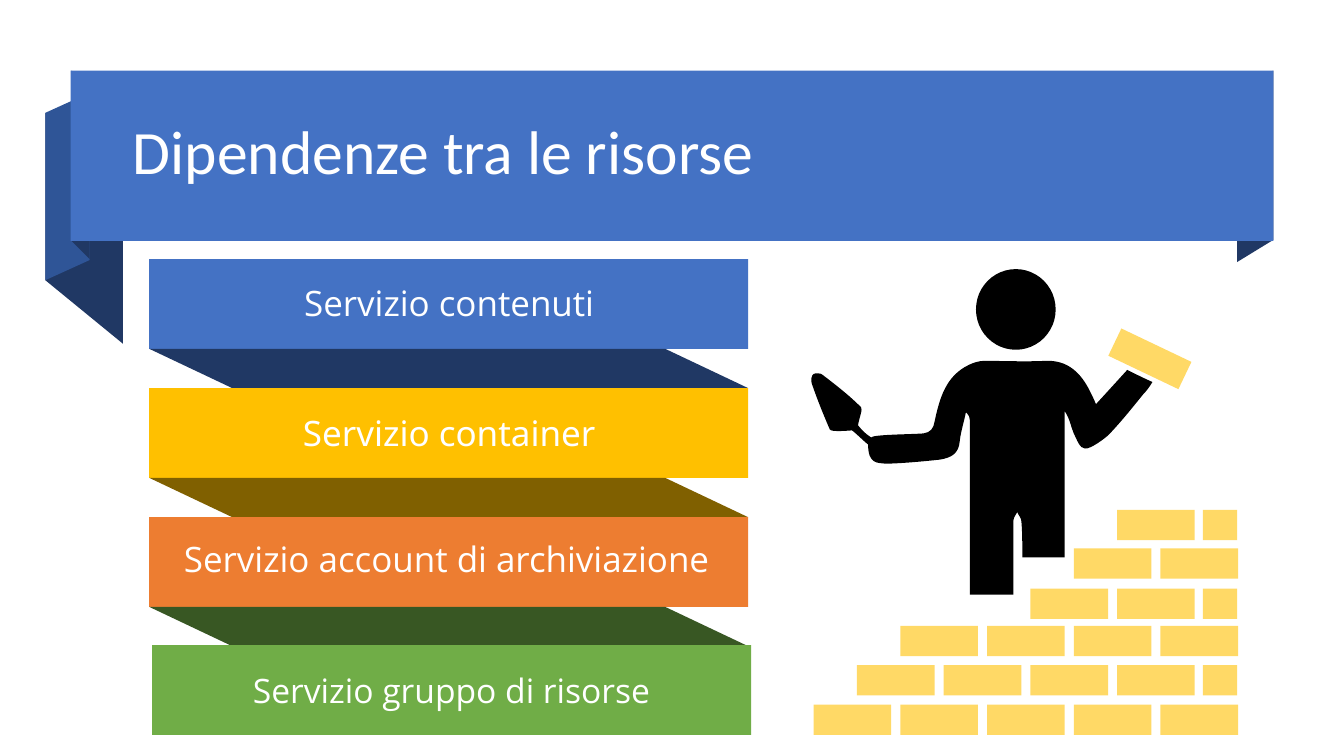
"""Build the slide on dependencies between resources."""
from dataclasses import dataclass

from lxml import etree
from pptx import Presentation
from pptx.dml.color import RGBColor
from pptx.enum.shapes import MSO_SHAPE
from pptx.enum.text import MSO_ANCHOR, PP_ALIGN
from pptx.oxml.ns import qn
from pptx.util import Inches, Pt

RECTANGLE = MSO_SHAPE.RECTANGLE
PARALLELOGRAM = MSO_SHAPE.PARALLELOGRAM
OVAL = MSO_SHAPE.OVAL
MIDDLE = MSO_ANCHOR.MIDDLE
CENTER = PP_ALIGN.CENTER

WHITE = RGBColor(0xFF, 0xFF, 0xFF)
BLACK = RGBColor(0, 0, 0)
BLUE = RGBColor(0x44, 0x72, 0xC4)
MID_BLUE = RGBColor(0x2F, 0x55, 0x97)
NAVY = RGBColor(0x20, 0x38, 0x64)
GOLD = RGBColor(0xFF, 0xC0, 0x00)
DARK_GOLD = RGBColor(0x80, 0x60, 0x00)
ORANGE = RGBColor(0xED, 0x7D, 0x31)
GREEN = RGBColor(0x70, 0xAD, 0x47)
DARK_GREEN = RGBColor(0x38, 0x57, 0x23)
BRICK_YELLOW = RGBColor(0xFF, 0xD9, 0x66)

Point = tuple[float, float]


@dataclass
class Fold:
    points: list[Point]
    color: RGBColor


@dataclass
class Band:
    top: float
    color: RGBColor
    fold_color: RGBColor


@dataclass
class Label:
    text: str
    left: float
    top: float
    width: float
    font_name: str


@dataclass
class BrickRow:
    top: float
    full_bricks: int
    has_half: bool


FOLDS = [
    Fold([(1.22, 3.41), (0.45, 2.78), (0.45, 1.12), (1.22, 1.75)], NAVY),
    Fold([(0.89, 2.58), (0.45, 2.78), (0.45, 1.12), (0.89, 0.92)], MID_BLUE),
    Fold([(0.89, 2.57), (0.71, 2.39), (0.71, 0.7), (0.89, 0.89)], NAVY),
    Fold([(12.63, 2.38), (12.27, 2.6), (12.27, 0.91), (12.63, 0.7)], NAVY),
]
BAND_LEFT, BAND_WIDTH, BAND_HEIGHT, FOLD_HEIGHT = 1.48, 5.94, 0.89, 0.39
BANDS = [Band(2.57, BLUE, NAVY), Band(3.85, GOLD, DARK_GOLD), Band(5.13, ORANGE, DARK_GREEN)]
LABELS = [
    Label("Servizio account di archiviazione", 1.71, 5.28, 5.44, "Open Sans"),
    Label("Servizio container", 2.74, 4.03, 3.43, "Noto Sans"),
    Label("Servizio contenuti", 2.74, 2.74, 3.43, "Open Sans"),
]
LABEL_HEIGHT = 0.52
BRICK_WIDTH, HALF_BRICK_WIDTH, BRICK_HEIGHT = 0.77, 0.34, 0.3
BRICK_PITCH = 0.86
LAST_BRICK_LEFT, HALF_BRICK_LEFT = 11.51, 11.93
BRICK_ROWS = [
    BrickRow(6.99, 5, False), BrickRow(6.6, 4, True), BrickRow(6.21, 4, False),
    BrickRow(5.84, 2, True), BrickRow(5.44, 2, False), BrickRow(5.06, 1, True),
]
BODY_START = (11.18, 3.67)
BODY_CURVES = [
    [(11.08, 3.78), (10.98, 3.89), (10.87, 4.01)],
    [(10.85, 3.96), (10.83, 3.92), (10.81, 3.88)],
    [(10.72, 3.7), (10.59, 3.57), (10.37, 3.58)],
    [(10.16, 3.59), (9.96, 3.58), (9.76, 3.58)],
    [(9.71, 3.58), (9.65, 3.6), (9.61, 3.62)],
    [(9.38, 3.73), (9.32, 3.95), (9.27, 4.18)],
    [(9.26, 4.25), (9.23, 4.29), (9.16, 4.3)],
    [(9.03, 4.31), (8.66, 4.31), (8.64, 4.34)],
    [(8.57, 4.29), (8.57, 4.29), (8.51, 4.22)],
    [(8.52, 4.15), (8.56, 4.06), (8.54, 4.04)],
    [(8.42, 3.92), (8.29, 3.82), (8.16, 3.72)],
    [(8.14, 3.7), (8.09, 3.7), (8.07, 3.71)],
    [(8.05, 3.72), (8.04, 3.77), (8.05, 3.8)],
    [(8.1, 3.95), (8.17, 4.12), (8.23, 4.26)],
    [(8.24, 4.29), (8.44, 4.27), (8.45, 4.27)],
    [(8.47, 4.28), (8.56, 4.37), (8.61, 4.41)],
    [(8.61, 4.61), (8.71, 4.59), (8.78, 4.6)],
    [(8.94, 4.6), (9.23, 4.57), (9.32, 4.56)],
    [(9.44, 4.54), (9.51, 4.5), (9.52, 4.37)],
    [(9.53, 4.28), (9.56, 4.19), (9.58, 4.09)],
    [(9.61, 4.12), (9.62, 4.14), (9.62, 4.17)],
    [(9.62, 4.63), (9.62, 5.44), (9.62, 5.9)],
    [(10.05, 5.9), (10.05, 5.9), (10.05, 5.9)],
    [(10.05, 5.78), (10.05, 5.3), (10.05, 5.18)],
    [(10.05, 5.14), (10.07, 5.11), (10.09, 5.08)],
    [(10.1, 5.11), (10.13, 5.14), (10.13, 5.17)],
    [(10.14, 5.27), (10.14, 5.43), (10.14, 5.53)],
    [(10.28, 5.53), (10.41, 5.53), (10.56, 5.53)],
    [(10.56, 5.06), (10.56, 4.54), (10.56, 4.08)],
    [(10.61, 4.15), (10.62, 4.23), (10.65, 4.3)],
    [(10.68, 4.36), (10.71, 4.45), (10.76, 4.45)],
    [(10.81, 4.46), (10.96, 4.35), (11, 4.31)],
    [(11.14, 4.16), (11.21, 4.07), (11.34, 3.91)],
    [(11.37, 3.88), (11.4, 3.84), (11.43, 3.79)],
    [(11.34, 3.75), (11.26, 3.71), (11.18, 3.67)],
]


def paint(shape, color: RGBColor) -> None:
    shape.shadow.inherit = False
    shape.fill.solid()
    shape.fill.fore_color.rgb = color
    shape.line.fill.background()


def add_block(shapes, kind, left: float, top: float, width: float, height: float, color: RGBColor):
    shape = shapes.add_shape(kind, Inches(left), Inches(top), Inches(width), Inches(height))
    paint(shape, color)
    return shape


def add_outline(shapes, points: list[Point], color: RGBColor):
    start, *others = [(Inches(x), Inches(y)) for x, y in points]
    builder = shapes.build_freeform(*start)
    builder.add_line_segments(others, close=True)
    shape = builder.convert_to_shape()
    paint(shape, color)
    return shape


def bend(shape, curves: list[list[Point]]) -> None:
    left, top = shape.left, shape.top
    segments = list(shape.element.iter(qn("a:lnTo")))
    for segment, curve in zip(segments, curves):
        bezier = etree.Element(qn("a:cubicBezTo"))
        for x, y in curve:
            etree.SubElement(bezier, qn("a:pt"), x=str(Inches(x) - left), y=str(Inches(y) - top))
        segment.getparent().replace(segment, bezier)


def write(shape, text: str, font_name: str, font_size: int):
    paragraph = shape.text_frame.paragraphs[0]
    paragraph.text = text
    paragraph.font.name = font_name
    paragraph.font.size = Pt(font_size)
    paragraph.font.color.rgb = WHITE
    return paragraph


def add_banner(shapes) -> None:
    for fold in FOLDS:
        add_outline(shapes, fold.points, fold.color)
    add_block(shapes, RECTANGLE, 0.7, 0.7, 11.93, 1.69, BLUE)
    title = shapes.add_textbox(Inches(1.22), Inches(1.07), Inches(6.43), Inches(0.84))
    title.text_frame.word_wrap = False
    write(title, "Dipendenze tra le risorse", "Calibri", 44)


def add_band(shapes, band: Band) -> None:
    add_block(shapes, RECTANGLE, BAND_LEFT, band.top, BAND_WIDTH, BAND_HEIGHT, band.color)
    fold = add_block(shapes, PARALLELOGRAM, BAND_LEFT, band.top + BAND_HEIGHT,
                     BAND_WIDTH, FOLD_HEIGHT, band.fold_color)
    fold.adjustments[0] = 2.11
    fold.element.spPr.xfrm.set("flipH", "1")


def add_label(shapes, label: Label) -> None:
    box = shapes.add_textbox(Inches(label.left), Inches(label.top), Inches(label.width), Inches(LABEL_HEIGHT))
    box.text_frame.word_wrap = True
    write(box, label.text, label.font_name, 25).alignment = CENTER


def add_base_band(shapes) -> None:
    base = add_block(shapes, RECTANGLE, 1.51, 6.4, BAND_WIDTH, BAND_HEIGHT, GREEN)
    base.text_frame.vertical_anchor = MIDDLE
    write(base, "Servizio gruppo di risorse", "Open Sans", 24).alignment = CENTER


def add_bricklayer(shapes) -> None:
    body = add_outline(shapes, [BODY_START] + [curve[-1] for curve in BODY_CURVES], BLACK)
    bend(body, BODY_CURVES)
    add_block(shapes, OVAL, 9.68, 2.67, 0.79, 0.8, BLACK)
    add_block(shapes, RECTANGLE, 11.02, 3.41, BRICK_WIDTH, BRICK_HEIGHT, BRICK_YELLOW).rotation = 25.5


def add_brick_row(shapes, row: BrickRow) -> None:
    start = LAST_BRICK_LEFT - row.has_half * BRICK_PITCH / 2
    bricks = [(start - index * BRICK_PITCH, BRICK_WIDTH) for index in range(row.full_bricks)]
    if row.has_half:
        bricks.insert(0, (HALF_BRICK_LEFT, HALF_BRICK_WIDTH))
    for left, width in bricks:
        add_block(shapes, RECTANGLE, left, row.top, width, BRICK_HEIGHT, BRICK_YELLOW)


def main() -> None:
    presentation = Presentation()
    presentation.slide_width, presentation.slide_height = Inches(13.33), Inches(7.5)
    shapes = presentation.slides.add_slide(presentation.slide_layouts[6]).shapes
    add_banner(shapes)
    ribbon = shapes.add_group_shape()
    for band in BANDS:
        add_band(ribbon.shapes, band)
    for label in LABELS:
        add_label(shapes, label)
    add_base_band(shapes)
    add_bricklayer(shapes.add_group_shape().shapes)
    wall = shapes.add_group_shape()
    for row in BRICK_ROWS:
        add_brick_row(wall.shapes, row)
    presentation.save("out.pptx")


if __name__ == "__main__":
    main()
